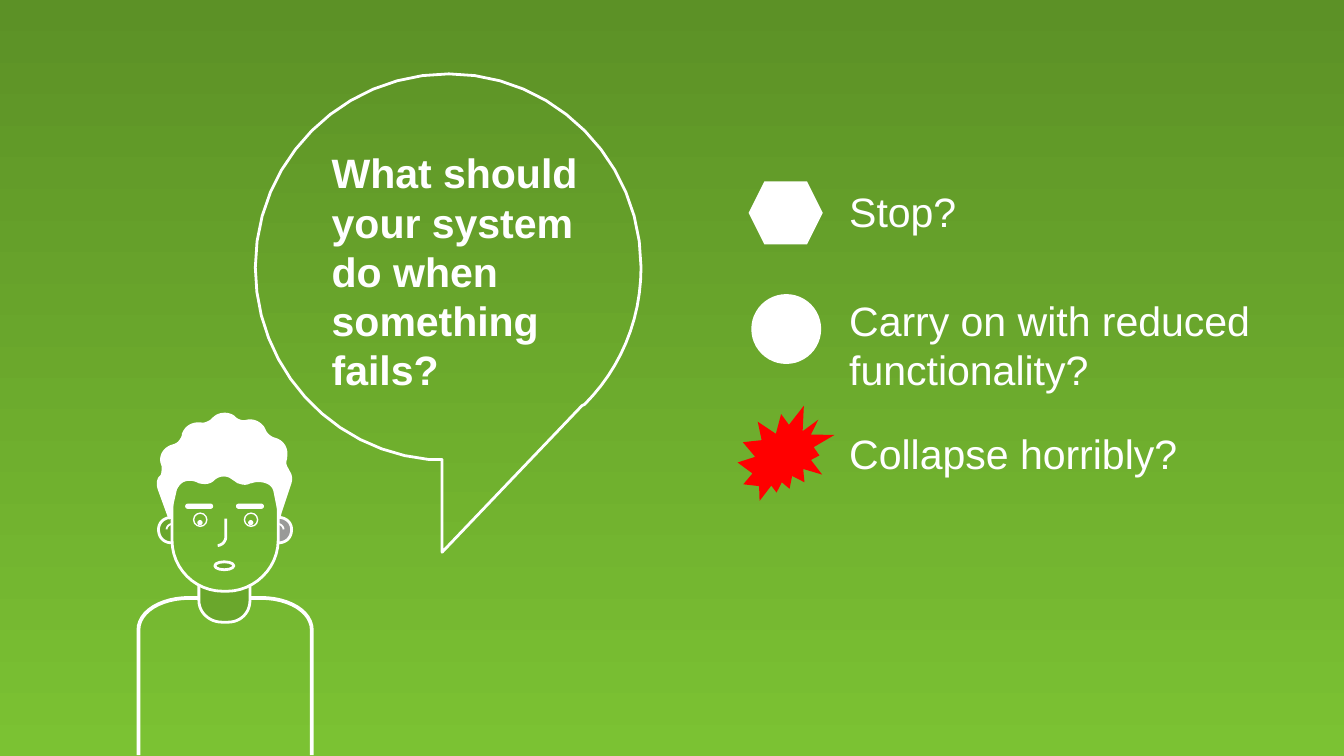
from pptx import Presentation
from pptx.dml.color import RGBColor
from pptx.enum.shapes import MSO_SHAPE
from pptx.enum.text import MSO_AUTO_SIZE
from pptx.util import Cm, Pt

WHITE, GREEN, GREY, RED = "FFFFFF", "6AA72C", "999A98", "FF0000"
TOP, BOTTOM = "5C9126", "7BC233"
GRID = Cm(0.0254)  # one unit of the outlines below
PAGE_UNITS = 562.5  # page height in those units

# Outlines: a pair is a straight segment, six numbers are a cubic curve.
BODY = [(103, 562), (103, 469), (103, 455, 120, 445, 141, 445), (194, 445),
        (215, 445, 232, 455, 232, 469), (232, 562)]
EAR = [(138, 394), (138, 389, 134, 385, 128, 385), (122, 385, 118, 389, 118, 394),
       (118, 400, 122, 404, 128, 404), (130, 404, 131, 404, 133, 403)]
EAR_FOLD = [(128, 390), (126, 390, 124, 392, 124, 394)]
NECK = [(170, 463), (165, 463), (156, 463, 148, 456, 148, 447), (148, 432),
        (186, 432), (186, 447), (186, 456, 179, 463, 170, 463)]
FACE = [(169, 440), (166, 440), (145, 440, 128, 423, 128, 402), (128, 374),
        (128, 362, 138, 352, 150, 352), (187, 352), (198, 352, 207, 361, 207, 372),
        (207, 402), (207, 423, 189, 440, 169, 440)]
NOSE = [(162, 406), (165, 406, 168, 403, 168, 400), (168, 386)]
HAIR = [(126, 386), (118, 364), (117, 361, 117, 357, 119, 355), (120, 354),
        (121, 352, 121, 349, 121, 347), (120, 344), (119, 339, 122, 334, 127, 332),
        (130, 331), (133, 330, 135, 327, 136, 324), (136, 323),
        (138, 318, 142, 315, 148, 315), (149, 315), (152, 316, 155, 314, 157, 313),
        (159, 311), (163, 307, 170, 307, 174, 310), (175, 311),
        (177, 313, 181, 314, 184, 313), (189, 312, 195, 315, 197, 320),
        (198, 323, 201, 325, 203, 326), (206, 327), (211, 329, 214, 334, 213, 340),
        (213, 341), (212, 344, 212, 346, 214, 349), (215, 351),
        (217, 354, 217, 357, 216, 360), (209, 381), (208, 385), (204, 365),
        (202, 358, 192, 357, 187, 359), (186, 359), (183, 361, 180, 360, 177, 359),
        (171, 355), (167, 353, 162, 354, 159, 357), (156, 360, 152, 360, 148, 359),
        (143, 356, 134, 356, 131, 364), (126, 386)]
BUBBLE = [(334, 55), (413, 55, 477, 120, 477, 199), (477, 239, 461, 275, 435, 301),
          (433, 302), (329, 411), (329, 342), (319, 342),
          (246, 335, 190, 273, 190, 199), (190, 120, 254, 55, 334, 55)]


def color(value):
    return RGBColor.from_string(value)


def page_color(y):
    """Colour of the page background at height y in grid units."""
    pairs = zip(color(TOP), color(BOTTOM))
    return "".join(f"{round(a + (b - a) * y / PAGE_UNITS):02X}" for a, b in pairs)


def mirror(outline):
    """Flip an outline across the middle of the face."""
    return [tuple(335 - n if i % 2 == 0 else n for i, n in enumerate(step))
            for step in outline]


def trace(outline, steps=12):
    """Turn an outline into points, sampling its curves."""
    points = [outline[0]]
    for step in outline[1:]:
        if len(step) == 2:
            points.append(step)
            continue
        corners = [points[-1], step[:2], step[2:4], step[4:]]
        for k in range(1, steps + 1):
            t = k / steps
            weights = ((1 - t) ** 3, 3 * t * (1 - t) ** 2, 3 * t * t * (1 - t), t ** 3)
            points.append(tuple(sum(w * p[axis] for w, p in zip(weights, corners))
                                for axis in (0, 1)))
    return points


def fill_gradient(fill, top, bottom):
    fill.gradient()
    fill.gradient_angle = 270
    for stop, value in zip(fill.gradient_stops, (top, bottom)):
        stop.color.rgb = color(value)


def write(frame, text, size=22, font="Arial", ink=WHITE, bold=False):
    para = frame.paragraphs[0]
    para.text = text
    for span in para.runs:
        span.font.size = Pt(size)
        span.font.name = font
        span.font.bold = bold
        span.font.color.rgb = color(ink)


class Page:
    def __init__(self, deck):
        self.slide = deck.slides.add_slide(deck.slide_layouts[6])
        self.canvas = self.slide.shapes
        fill_gradient(self.slide.background.fill, TOP, BOTTOM)

    def group(self):
        """Place the next elements in a new group."""
        self.canvas = self.slide.shapes.add_group_shape().shapes

    def ungroup(self):
        self.canvas = self.slide.shapes

    def style(self, shape, fill, line):
        shape.shadow.inherit = False
        if fill:
            shape.fill.solid()
            shape.fill.fore_color.rgb = color(fill)
        else:
            shape.fill.background()
        if line:
            shape.line.color.rgb = color(WHITE)
            shape.line.width = Pt(line)
        else:
            shape.line.fill.background()

    def shape(self, kind, left, top, width, height, fill=None, line=None):
        shape = self.canvas.add_shape(kind, Cm(left), Cm(top), Cm(width), Cm(height))
        self.style(shape, fill, line)
        return shape

    def outline(self, outline, fill=None, line=1.5, blend=False):
        """Draw an outline; blend fills it like the page behind it."""
        points = [(x * GRID, y * GRID) for x, y in trace(outline)]
        builder = self.canvas.build_freeform(*points[0])
        builder.add_line_segments(points[1:], close=outline[0] == outline[-1][-2:])
        shape = builder.convert_to_shape()
        self.style(shape, fill, line)
        if blend:
            heights = [y / GRID for _, y in points]
            fill_gradient(shape.fill, page_color(min(heights)), page_color(max(heights)))

    def text(self, text, left, top, width, height, **look):
        box = self.canvas.add_textbox(Cm(left), Cm(top), Cm(width), Cm(height))
        box.text_frame.word_wrap = True
        box.text_frame.auto_size = MSO_AUTO_SIZE.SHAPE_TO_FIT_TEXT
        write(box.text_frame, text, **look)


def draw_person(page):
    page.group()
    page.outline(BODY, line=2)
    page.outline(mirror(EAR), GREY)
    page.outline(EAR, GREEN)
    page.outline(NECK, GREEN)
    page.outline(FACE, blend=True)
    page.outline(NOSE)
    for shift in (0, 0.96):
        brow = page.shape(MSO_SHAPE.ROUNDED_RECTANGLE, 3.51 + shift, 9.53, 0.51, 0.08,
                          WHITE, 0.5)
        brow.adjustments[0] = 0.5
        page.shape(MSO_SHAPE.OVAL, 3.66 + shift, 9.7, 0.25, 0.25, line=0.75)
        page.shape(MSO_SHAPE.OVAL, 3.73 + shift, 9.83, 0.1, 0.1, WHITE)
    page.outline(HAIR, WHITE, 1)
    for fold in (EAR_FOLD, mirror(EAR_FOLD)):
        page.outline(fold, line=1)
    page.shape(MSO_SHAPE.OVAL, 4.06, 10.62, 0.36, 0.15, GREEN, 1.5)
    page.ungroup()


def draw_answers(page):
    answers = [
        ("Stop?", 3.4, 1.19, MSO_SHAPE.HEXAGON, (14.15, 3.43, 1.4, 1.19), WHITE),
        ("Carry on with reduced functionality?", 5.46, 2.13,
         MSO_SHAPE.OVAL, (14.2, 5.56, 1.32, 1.32), WHITE),
        ("Collapse horribly?", 7.98, 1.19,
         MSO_SHAPE.EXPLOSION2, (13.94, 7.67, 1.83, 1.8), RED),
    ]
    for text, top, height, kind, place, fill in answers:
        page.group()
        page.shape(kind, *place, fill=fill)
        page.text(text, 15.8, top, 8.28, height)
    page.ungroup()


def main():
    deck = Presentation()
    deck.slide_width, deck.slide_height = Cm(25.4), Cm(14.29)
    page = Page(deck)
    draw_person(page)
    page.outline(BUBBLE, blend=True)
    page.text("What should \vyour system do when something fails?",
              6.02, 2.67, 5.79, 4.95, bold=True)
    draw_answers(page)
    deck.save("out.pptx")


if __name__ == "__main__":
    main()
